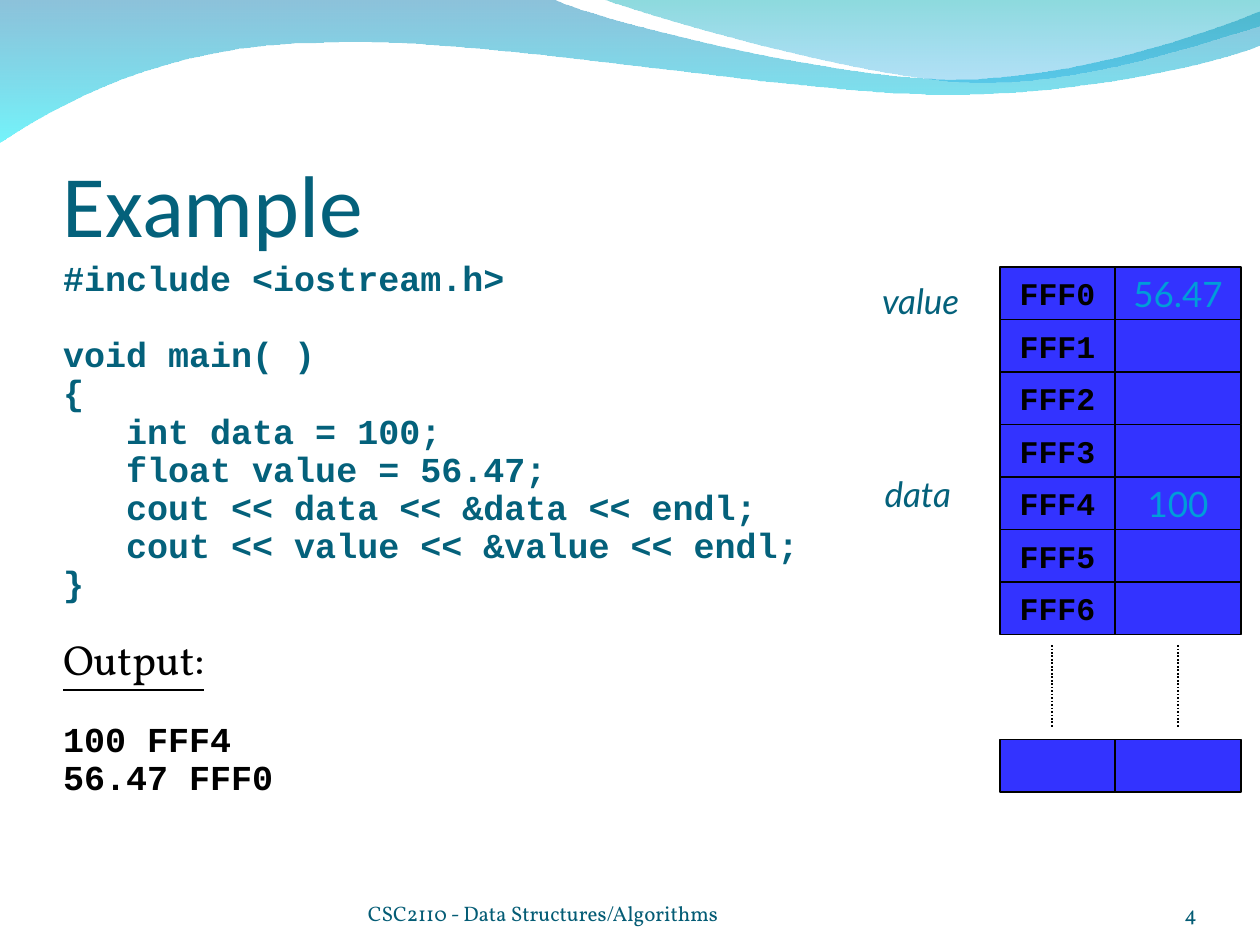
import pptx
import pptx.dml.color
import pptx.enum.dml
import pptx.enum.shapes
import pptx.enum.text
import pptx.oxml
import pptx.oxml.ns
import pptx.util

Inches = pptx.util.Inches
Pt = pptx.util.Pt
Align = pptx.enum.text.PP_ALIGN
Anchor = pptx.enum.text.MSO_ANCHOR

TEAL, FOOTER, BLACK, BLUE, SKY = "04617B", "045C75", "000000", "3333FF", "009DD9"
MONO = "Courier New"

# Each wave: start point, then segments of one point (line) or three (curve);
# then gradient stops as colour and opacity percent.
WAVES = [
    ((0, 0), [
        [(4.4, 0)],
        [(4.76, 0.17), (6.64, 0.63), (7.58, 0.63)],
        [(8.53, 0.63), (9.58, 0.26), (10, 0.09)],
        [(10, 0.36)],
        [(9.83, 0.44), (8.7, 0.76), (7.46, 0.75)],
        [(6.22, 0.75), (3.82, 0.28), (2.57, 0.34)],
        [(1.29, 0.35), (0.46, 0.83), (0, 1.13)],
    ], [("0079AF", 45), ("00EBF8", 55)]),
    ((4.79, 0), [
        [(5.09, 0.11), (6.82, 0.62), (7.69, 0.65)],
        [(8.56, 0.69), (9.61, 0.32), (10, 0.21)],
        [(10, 0)],
    ], [("00ADB6", 45), ("009BE5", 30)]),
]

# Text and space before in points
CODE = [
    ("#include <iostream.h>", 0),
    ("void main( )", 26.6),
    ("{", 5),
    ("   int data = 100;", 5),
    ("   float value = 56.47;", 5),
    ("   cout << data << &data << endl;", 5),
    ("   cout << value << &value << endl;", 5),
    ("}", 5),
]
OUTPUT_HEADING = ("Output:", 25.6)
OUTPUT = [("100 FFF4", 26.6), ("56.47 FFF0", 5)]

# Address, stored value
MEMORY = [("FFF0", "56.47"), ("FFF1", ""), ("FFF2", ""), ("FFF3", ""),
          ("FFF4", "100"), ("FFF5", ""), ("FFF6", "")]
VARIABLES = [("value", 7, 2.17), ("data", 7.02, 3.7)]

ADDRESS_LEFT, VALUE_LEFT, VALUE_WIDTH = 7.935, 8.85, 1
ADDRESS_WIDTH = VALUE_LEFT - ADDRESS_LEFT
MEMORY_TOP, LAST_ROW_TOP = 2.12, 5.87
ROW_PITCH = 2.5 / 6
DOTTED_X, DOTTED_TOP, DOTTED_BOTTOM = (8.35, 9.35), 5.12, 5.78


def rgb(value):
    return pptx.dml.color.RGBColor.from_string(value)


def write(frame, text, size=20, font="Lato", color=TEAL, bold=False, italic=False,
          underline=False, align=Align.LEFT, before=0, spacing=1.0):
    """Put text in the first paragraph if it is empty, else in a new one."""
    para = frame.paragraphs[0]
    if para.runs:
        para = frame.add_paragraph()
    para.alignment = align
    para.line_spacing = spacing
    para.space_before = Pt(before)
    span = para.add_run()
    span.text = text
    span.font.size = Pt(size)
    span.font.name = font
    span.font.bold = bold
    span.font.italic = italic
    span.font.underline = underline
    span.font.color.rgb = rgb(color)


def set_frame(frame, anchor, insets, wrap=True):
    frame.vertical_anchor = anchor
    frame.word_wrap = wrap
    (frame.margin_left, frame.margin_top,
     frame.margin_right, frame.margin_bottom) = map(Inches, insets)


def add_text_frame(page, left, top, width, height, anchor=Anchor.TOP,
                   insets=(0, 0.05, 0, 0.05)):
    box = page.shapes.add_textbox(*map(Inches, (left, top, width, height)))
    set_frame(box.text_frame, anchor, insets)
    return box.text_frame


def bend(shape, segments):
    """Join each three-point segment's straight lines into one cubic curve."""
    lines = iter(list(shape._element.iter(pptx.oxml.ns.qn("a:lnTo"))))
    for segment in segments:
        parts = [next(lines) for _ in segment]
        if len(parts) == 3:
            curve = pptx.oxml.parse_xml(
                f'<a:cubicBezTo {pptx.oxml.ns.nsdecls("a")}/>')
            parts[0].addprevious(curve)
            for part in parts:
                curve.append(part[0])
                part.getparent().remove(part)


def add_wave(page, start, segments, stops):
    points = [(Inches(x), Inches(y)) for segment in segments for x, y in segment]
    builder = page.shapes.build_freeform(*map(Inches, start))
    builder.add_line_segments(points, close=True)
    wave = builder.convert_to_shape()
    bend(wave, segments)
    wave.shadow.inherit = False
    wave.line.fill.background()
    wave.fill.gradient()
    wave.fill.gradient_angle = 270
    for stop, (color, _) in zip(wave.fill.gradient_stops, stops):
        stop.color.rgb = rgb(color)
    colors = wave._element.spPr.iter(pptx.oxml.ns.qn("a:srgbClr"))
    for element, (_, opacity) in zip(list(colors), stops):
        element.append(pptx.oxml.parse_xml(
            f'<a:alpha {pptx.oxml.ns.nsdecls("a")} val="{opacity * 1000}"/>'))


def add_cell(page, left, top, width, text="", **text_format):
    cell = page.shapes.add_shape(pptx.enum.shapes.MSO_SHAPE.RECTANGLE,
                                 *map(Inches, (left, top, width, ROW_PITCH)))
    cell.shadow.inherit = False
    cell.fill.solid()
    cell.fill.fore_color.rgb = rgb(BLUE)
    cell.line.color.rgb = rgb(BLACK)
    cell.line.width = Pt(1)
    if text:
        set_frame(cell.text_frame, Anchor.MIDDLE, (0.1, 0.05, 0.1, 0.05), wrap=False)
        write(cell.text_frame, text, align=Align.CENTER, **text_format)


def add_memory_row(page, top, address="", value=""):
    add_cell(page, ADDRESS_LEFT, top, ADDRESS_WIDTH, address,
             size=18, font=MONO, color=BLACK, bold=True)
    add_cell(page, VALUE_LEFT, top, VALUE_WIDTH, value, color=SKY)


def add_dotted_line(page, x):
    line = page.shapes.add_connector(
        pptx.enum.shapes.MSO_CONNECTOR.STRAIGHT,
        *map(Inches, (x, DOTTED_TOP, x, DOTTED_BOTTOM)))
    line.line.color.rgb = rgb(BLACK)
    line.line.width = Pt(1)
    line.line.dash_style = pptx.enum.dml.MSO_LINE.ROUND_DOT
    line._element.spPr.append(
        pptx.oxml.parse_xml(f'<a:effectLst {pptx.oxml.ns.nsdecls("a")}/>'))


def main():
    deck = pptx.Presentation()
    deck.slide_width, deck.slide_height = Inches(10), Inches(7.5)
    page = deck.slides.add_slide(deck.slide_layouts[6])

    for wave in WAVES:
        add_wave(page, *wave)

    title = add_text_frame(page, 0.5, 0.77, 9, 1.25, Anchor.BOTTOM, (0, 0.05, 0, 0))
    write(title, "Example", size=50, font="Calibri")

    listing = add_text_frame(page, 0.5, 2.08, 6.75, 4.75)
    for text, before in CODE:
        write(listing, text, font=MONO, bold=True, before=before, spacing=0.7)
    heading, before = OUTPUT_HEADING
    write(listing, heading, size=24, font="Vollkorn", color=BLACK, underline=True,
          before=before, spacing=0.7)
    for text, before in OUTPUT:
        write(listing, text, font=MONO, color=BLACK, bold=True, before=before,
              spacing=0.7)

    for text, left, width, align in [
            ("CSC2110 - Data Structures/Algorithms", 2.92, 3.67, Align.LEFT),
            ("4", 8.67, 0.83, Align.RIGHT)]:
        frame = add_text_frame(page, left, 6.95, width, 0.4, Anchor.BOTTOM, (0, 0, 0, 0))
        write(frame, text, size=12, font="Vollkorn", color=FOOTER, align=align)

    for row, (address, value) in enumerate(MEMORY):
        add_memory_row(page, MEMORY_TOP + row * ROW_PITCH, address, value)
    add_memory_row(page, LAST_ROW_TOP)
    for x in DOTTED_X:
        add_dotted_line(page, x)
    for name, left, top in VARIABLES:
        write(add_text_frame(page, left, top, 0.75, 0.44), name, italic=True)

    deck.save("out.pptx")


if __name__ == "__main__":
    main()
